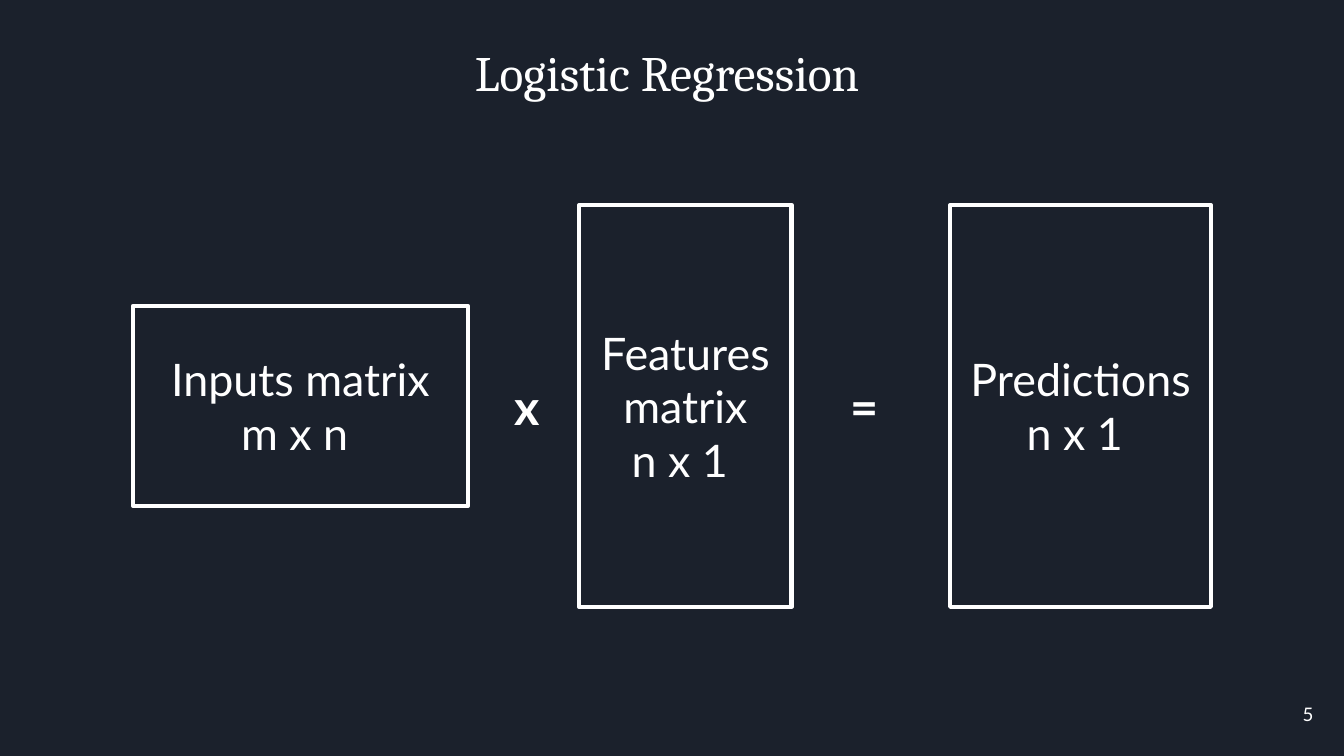
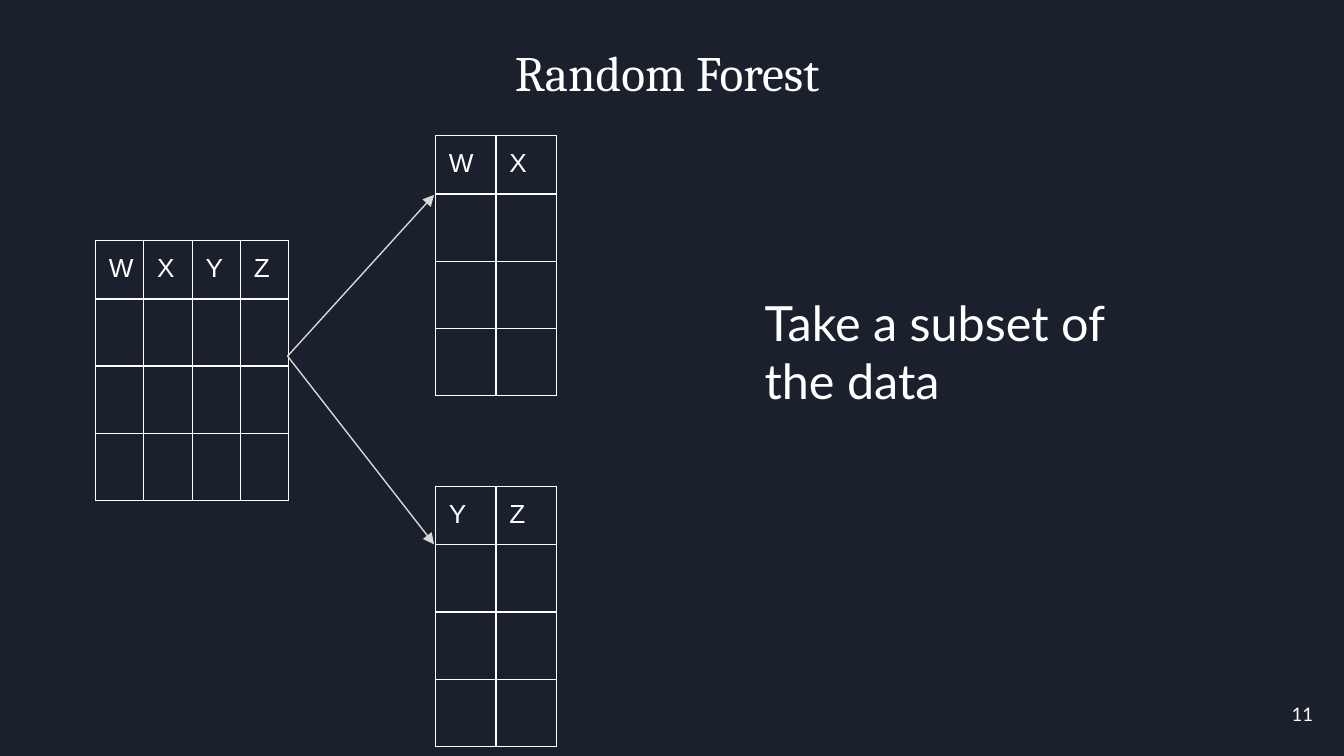
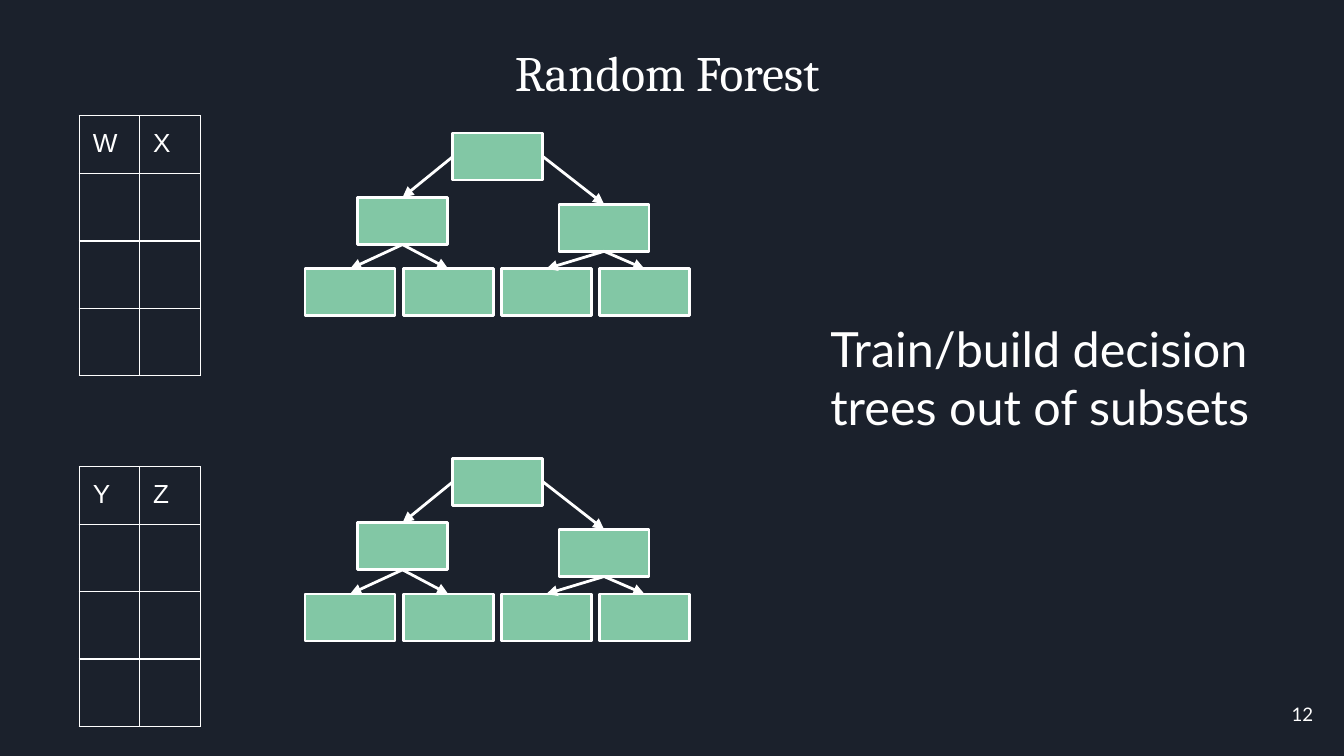
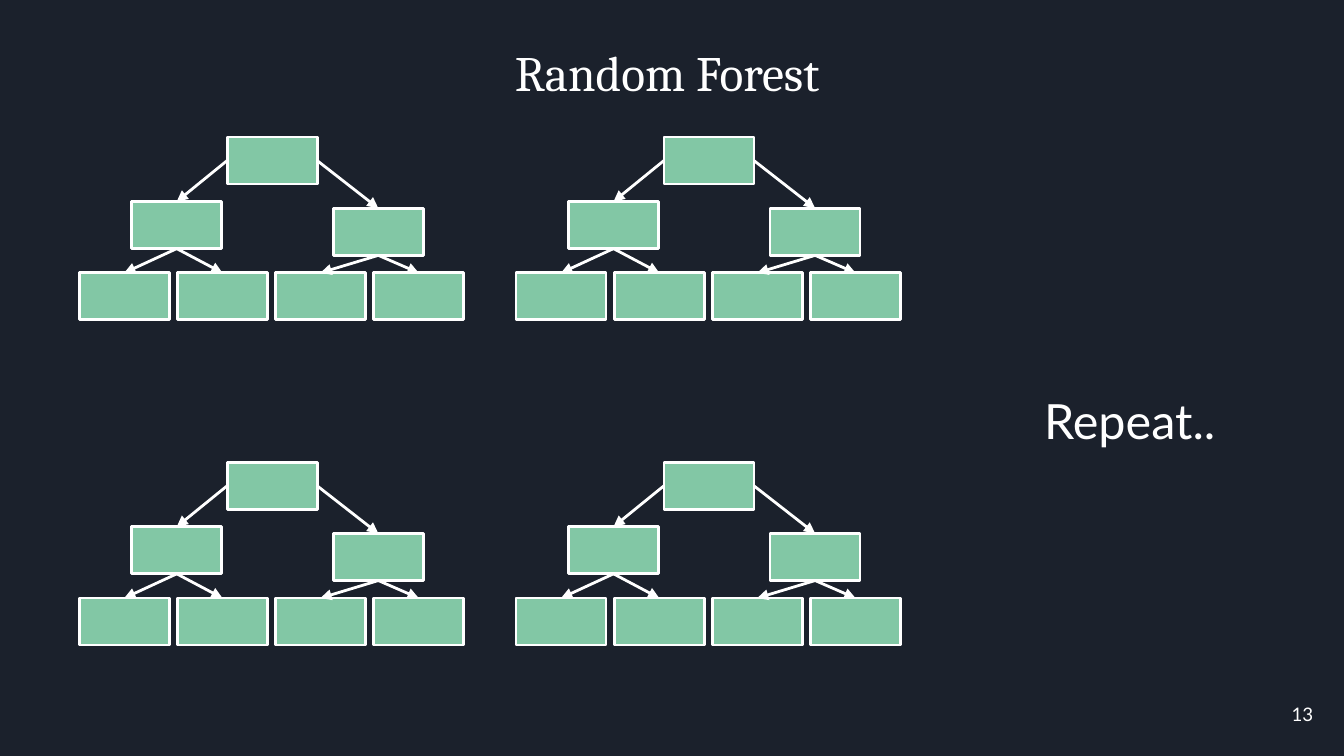
import pptx
import pptx.dml.color
import pptx.enum.shapes
import pptx.enum.text
import pptx.oxml
import pptx.oxml.ns
import pptx.util

WIDTH = 10
HEIGHT = WIDTH * 9 / 16
NAVY, WHITE, GREY, GREEN = "1B212C", "FFFFFF", "D9D9D9", "82C7A5"
SERIF, SANS, GRID_FONT = "Cambria", "Lato", "Arial"
INSET = 0.1
RECTANGLE = pptx.enum.shapes.MSO_SHAPE.RECTANGLE
STRAIGHT = pptx.enum.shapes.MSO_CONNECTOR.STRAIGHT
LEFT, CENTER, RIGHT = (pptx.enum.text.PP_ALIGN.LEFT, pptx.enum.text.PP_ALIGN.CENTER,
                       pptx.enum.text.PP_ALIGN.RIGHT)
TOP, MIDDLE = pptx.enum.text.MSO_ANCHOR.TOP, pptx.enum.text.MSO_ANCHOR.MIDDLE

EQUATION_AXIS = 3.02
MATRICES = [
    ("Inputs matrix\nm x n ", 0.99, 2.49, 1.49),
    ("Features matrix\nn x 1 ", 4.31, 1.58, 2.99),
    ("Predictions\nn x 1 ", 7.07, 1.94, 2.99),
]
OPERATORS = [("x", 3.71), ("=", 6.22)]
OPERATOR_SIZE = (0.42, 0.58)

HEADER_HEIGHT, ROW_HEIGHT, EMPTY_ROWS = 0.43, 0.5, 3
WIDE_COLUMN, NARROW_COLUMN = 0.45, 0.36
SUBSETS = ["WX", "YZ"]
SUBSET_PITCH = 2.61

NODE_WIDTH, NODE_HEIGHT = 0.67, 0.35
LEAF_PITCH, LEAF_TOP = 0.73, 1.01
NODES = {"root": (1.1, 0), "left": (0.39, 0.48), "right": (1.89, 0.53)}
NODES.update({f"leaf {i}": (i * LEAF_PITCH, LEAF_TOP) for i in range(4)})
SITES = {"top": (0, 0.5, 0), "left": (1, 0, 0.5), "bottom": (2, 0.5, 1), "right": (3, 1, 0.5)}
BRANCHES = [
    ("root", "left", "left"), ("root", "right", "right"),
    ("left", "bottom", "leaf 0"), ("left", "bottom", "leaf 1"),
    ("right", "bottom", "leaf 2"), ("right", "bottom", "leaf 3"),
]
TREE_ROW_PITCH, TREE_COLUMN_PITCH = 2.42, 3.25


def inches(*lengths):
    return [pptx.util.Inches(length) for length in lengths]


def color(value):
    return pptx.dml.color.RGBColor.from_string(value)


def set_text(frame, text, size, font=SANS, align=LEFT, bold=False, after=0):
    frame.text = text
    for para in frame.paragraphs:
        para.alignment = align
        para.space_after = pptx.util.Pt(after)
        for span in para.runs:
            span.font.size = pptx.util.Pt(size)
            span.font.name = font
            span.font.bold = bold
            span.font.color.rgb = color(WHITE)


def set_insets(holder):
    holder.margin_left = holder.margin_right = pptx.util.Inches(INSET)
    holder.margin_top = holder.margin_bottom = pptx.util.Inches(INSET)


def fill_box(box, text, size, anchor=TOP, **style):
    frame = box.text_frame
    set_text(frame, text, size, **style)
    set_insets(frame)
    frame.word_wrap = True
    frame.vertical_anchor = anchor


def add_text(shapes, place, text, size, **style):
    fill_box(shapes.add_textbox(*inches(*place)), text, size, **style)


def add_box(shapes, place, weight, fill=None):
    box = shapes.add_shape(RECTANGLE, *inches(*place))
    box.shadow.inherit = False
    if fill:
        box.fill.solid()
        box.fill.fore_color.rgb = color(fill)
    else:
        box.fill.background()
    box.line.color.rgb = color(WHITE)
    box.line.width = pptx.util.Pt(weight)
    return box


def add_arrow(shapes, start, end, ink, weight):
    arrow = shapes.add_connector(STRAIGHT, *inches(*start, *end))
    arrow.line.color.rgb = color(ink)
    arrow.line.width = pptx.util.Pt(weight)
    arrow.line._get_or_add_ln().append(pptx.oxml.parse_xml(
        f'<a:tailEnd {pptx.oxml.ns.nsdecls("a")} type="triangle"/>'))
    arrow._element.spPr.append(pptx.oxml.parse_xml(
        f'<a:effectLst {pptx.oxml.ns.nsdecls("a")}/>'))
    return arrow


def set_borders(cell):
    properties = cell._tc.get_or_add_tcPr()
    for position, side in enumerate("LRTB"):
        properties.insert(position, pptx.oxml.parse_xml(
            f'<a:ln{side} {pptx.oxml.ns.nsdecls("a")} w="{pptx.util.Pt(0.75)}">'
            f'<a:solidFill><a:srgbClr val="{WHITE}"/></a:solidFill></a:ln{side}>'))


def add_grid(page, left, top, letters, column_width):
    heights = [HEADER_HEIGHT] + [ROW_HEIGHT] * EMPTY_ROWS
    table = page.shapes.add_table(
        len(heights), len(letters),
        *inches(left, top, column_width * len(letters), sum(heights))).table
    table.first_row = table.horz_banding = False
    for row, height in zip(table.rows, heights):
        row.height = pptx.util.Inches(height)
    for column in table.columns:
        column.width = pptx.util.Inches(column_width)
    for cell in table.iter_cells():
        cell.fill.background()
        set_borders(cell)
    for index, letter in enumerate(letters):
        cell = table.cell(0, index)
        set_insets(cell)
        set_text(cell.text_frame, letter, 14, font=GRID_FONT)


def add_subsets(page, left, top):
    for index, letters in enumerate(SUBSETS):
        add_grid(page, left, top + index * SUBSET_PITCH, letters, WIDE_COLUMN)


def add_tree(page, left, top):
    tree = page.shapes.add_group_shape().shapes
    boxes = {}
    for name, (x, y) in NODES.items():
        place = (left + x, top + y, NODE_WIDTH, NODE_HEIGHT)
        boxes[name] = add_box(tree, place, 1.5, GREEN)

    def point(name, site):
        x, y = NODES[name]
        _, across, down = SITES[site]
        return left + x + across * NODE_WIDTH, top + y + down * NODE_HEIGHT

    for parent, site, child in BRANCHES:
        arrow = add_arrow(tree, point(parent, site), point(child, "top"), WHITE, 1.5)
        arrow.begin_connect(boxes[parent], SITES[site][0])
        arrow.end_connect(boxes[child], SITES["top"][0])


def add_forest(page, left, top, columns):
    for column in range(columns):
        for row in range(2):
            add_tree(page, left + column * TREE_COLUMN_PITCH, top + row * TREE_ROW_PITCH)


def draw_equation(page):
    equation = page.shapes.add_group_shape().shapes
    for text, left, width, height in MATRICES:
        box = add_box(equation, (left, EQUATION_AXIS - height / 2, width, height), 2.25)
        fill_box(box, text, 24, align=CENTER, anchor=MIDDLE)
    width, height = OPERATOR_SIZE
    for sign, left in OPERATORS:
        add_text(equation, (left, EQUATION_AXIS - height / 2, width, height), sign, 26,
                 align=CENTER, anchor=MIDDLE, bold=True)


def draw_split(page):
    add_grid(page, 0.71, 1.79, "WXYZ", NARROW_COLUMN)
    add_subsets(page, 3.24, 1.01)
    for target in (1.45, 4.05):
        add_arrow(page.shapes, (2.14, 2.65), (3.23, target), GREY, 0.75)
    add_text(page.shapes, (5.59, 2.08, 2.78, 0.91), "Take a subset of the data", 26)


def draw_training(page):
    add_subsets(page, 0.59, 0.86)
    add_forest(page, 2.27, 0.99, 1)
    add_text(page.shapes, (6.08, 2.27, 3.62, 1.08),
             "Train/build decision trees out of subsets", 26)


def draw_repeat(page):
    add_forest(page, 0.59, 1.02, 2)
    add_text(page.shapes, (7.67, 2.81, 2.1, 0.64), "Repeat..", 26)


PAGES = [
    ("Logistic Regression ", "5", draw_equation),
    ("Random Forest ", "11", draw_split),
    ("Random Forest ", "12", draw_training),
    ("Random Forest ", "13", draw_repeat),
]


def main():
    deck = pptx.Presentation()
    deck.slide_width, deck.slide_height = inches(WIDTH, HEIGHT)
    background = deck.slide_master.background.fill
    background.solid()
    background.fore_color.rgb = color(NAVY)
    for title, number, draw in PAGES:
        page = deck.slides.add_slide(deck.slide_layouts[6])
        add_text(page.shapes, (9.27, 5.1, 0.6, 0.43), number, 10, align=RIGHT, anchor=MIDDLE)
        add_text(page.shapes, (0.24, 0.21, 9.53, 0.65), title, 26.5, font=SERIF,
                 align=CENTER, anchor=MIDDLE, after=12)
        draw(page)
    deck.save("out.pptx")


if __name__ == "__main__":
    main()
